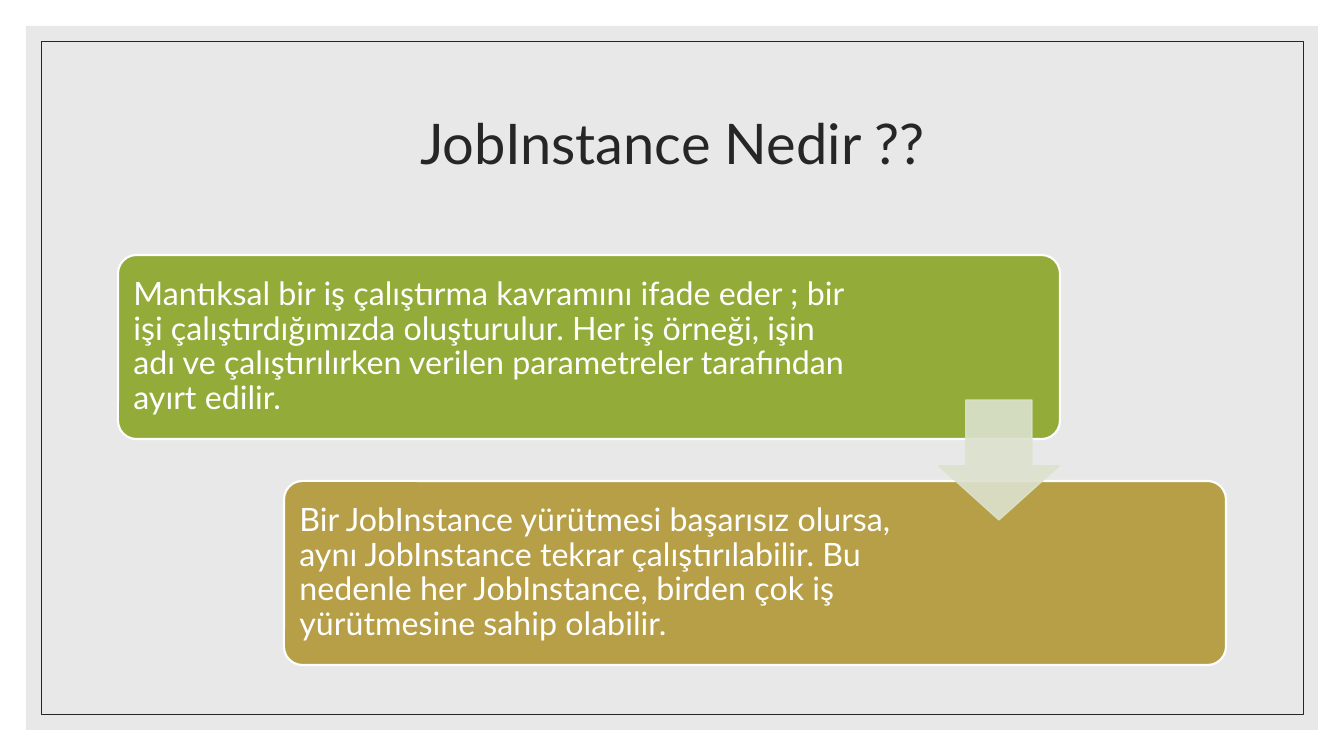
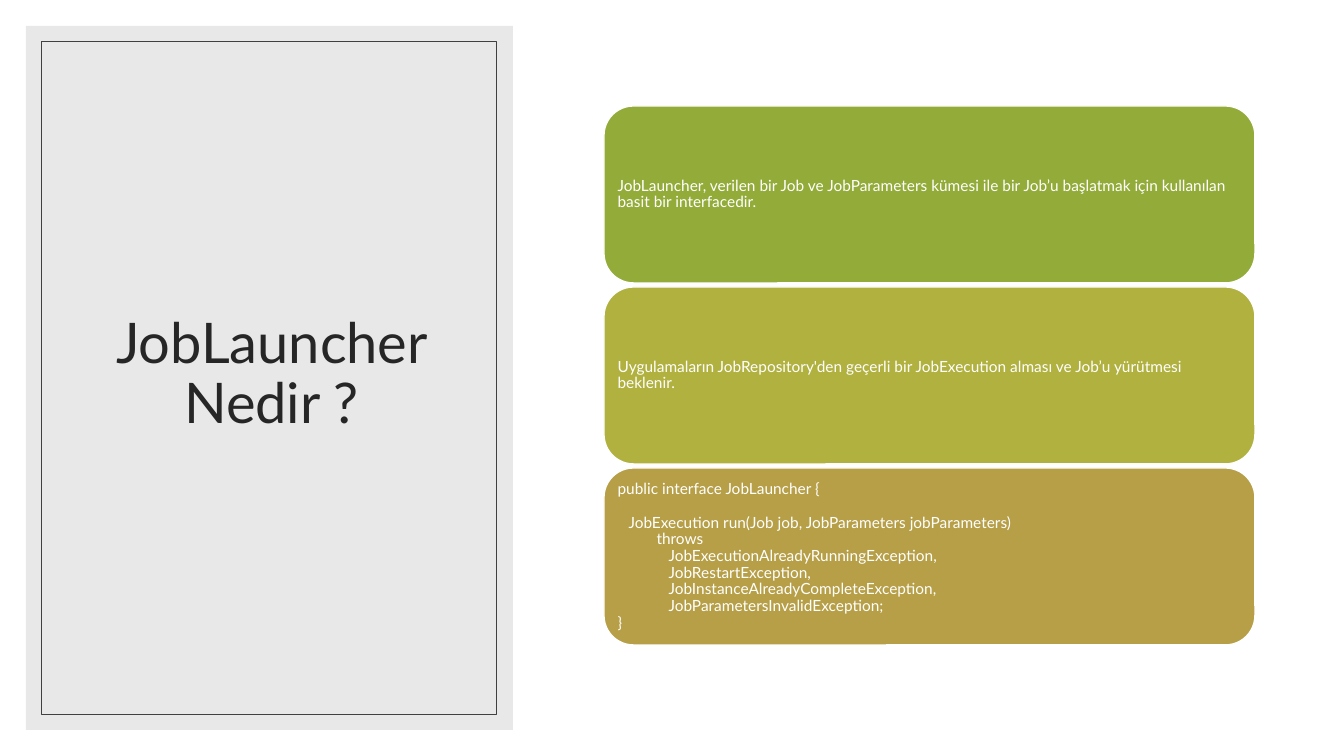
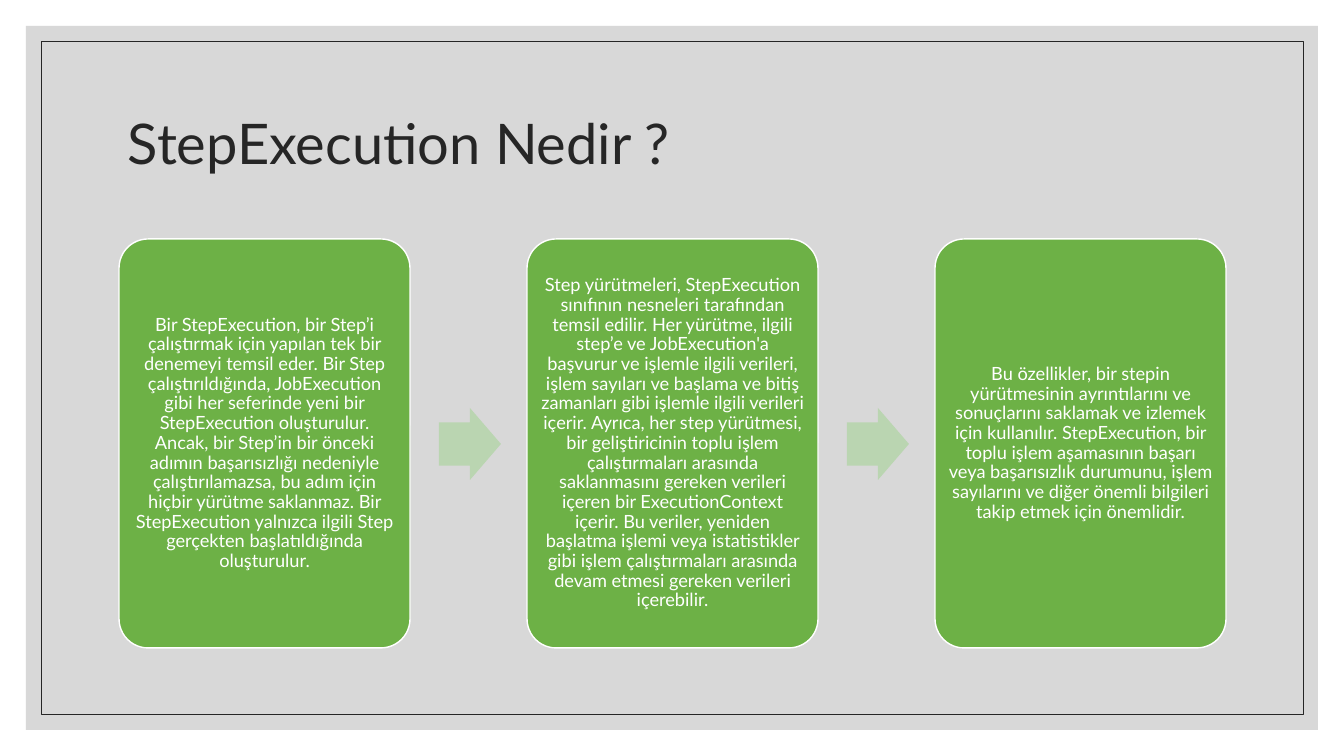
"""Build three slides on batch job concepts with cards and arrows."""
from lxml.etree import SubElement
from pptx import Presentation
from pptx.dml.color import RGBColor
from pptx.enum.shapes import MSO_SHAPE
from pptx.enum.text import MSO_ANCHOR, PP_ALIGN
from pptx.oxml.ns import qn
from pptx.util import Pt

SCALE = 914400 / 100.8


class Theme:
    font = "Lato"
    ink, rim, white = "262626", "404040", "FFFFFF"
    pale, gray = "D9D9D9", "BFBFBF"
    green, lime, gold, leaf = "93AB39", "B1B140", "B69F47", "6DB146"
    mist, mint = "DCE2CE", "BAD5B1"
    title, large, mid, small = 40, 23, 13, 11


def draw(slide, kind, box, fill=None, line=None, width=1, adj=(), alpha=100):
    shape = slide.shapes.add_shape(kind, *[round(n * SCALE) for n in box])
    shape.shadow.inherit = False
    if fill:
        shape.fill.solid()
        shape.fill.fore_color.rgb = RGBColor.from_string(fill)
    else:
        shape.fill.background()
    if line:
        shape.line.color.rgb = RGBColor.from_string(line)
        shape.line.width = Pt(width)
    else:
        shape.line.fill.background()
    for i, part in enumerate(adj):
        shape.adjustments[i] = part
    if alpha < 100:
        for tint in shape._element.spPr.iter(qn("a:srgbClr")):
            SubElement(tint, qn("a:alpha"), val=str(alpha * 1000))
    return shape


def write(shape, text, size, color, align, pads):
    frame = shape.text_frame
    frame.text = text
    frame.word_wrap = True
    frame.vertical_anchor = MSO_ANCHOR.MIDDLE
    sides = ("margin_left", "margin_top", "margin_right", "margin_bottom")
    for side, pad in zip(sides, pads):
        setattr(frame, side, round(pad * SCALE))
    for para in frame.paragraphs:
        para.alignment = align
        para.line_spacing = 0.9
        for run in para.runs:
            run.font.name = Theme.font
            run.font.size = Pt(size)
            run.font.color.rgb = RGBColor.from_string(color)
    return frame


deck = Presentation()
deck.slide_width = round(1344 * SCALE)
deck.slide_height = round(756 * SCALE)

wide = (118, 71, 1109, 151)
heads = [
    ("JobInstance Nedir ??", wide, PP_ALIGN.CENTER, 1292, 1262, Theme.pale, Theme.ink),
    ("JobLauncher Nedir ?", (64, 61, 415, 629), PP_ALIGN.CENTER, 487, 455, Theme.pale, Theme.rim),
    ("StepExecution Nedir ?", wide, PP_ALIGN.LEFT, 1292, 1262, Theme.gray, Theme.ink),
]
slides = []
for text, box, align, outer, inner, fill, line in heads:
    slide = deck.slides.add_slide(deck.slide_layouts[6])
    draw(slide, MSO_SHAPE.RECTANGLE, (26, 26, outer, 704), fill, alpha=60)
    draw(slide, MSO_SHAPE.RECTANGLE, (41, 41, inner, 673), line=line, width=0.5)
    title = slide.shapes.add_textbox(*[round(n * SCALE) for n in box])
    write(title, text, Theme.title, Theme.ink, align, (10, 5, 10, 5))
    slides.append(slide)
first, second, third = slides

stairs = [
    ("Mantıksal bir iş çalıştırma kavramını ifade eder ; bir işi çalıştırdığımızda oluşturulur. "
     "Her iş örneği, işin adı ve çalıştırılırken verilen parametreler tarafından ayırt edilir.",
     Theme.green, 191),
    ("Bir JobInstance yürütmesi başarısız olursa, aynı JobInstance tekrar çalıştırılabilir. "
     "Bu nedenle her JobInstance, birden çok iş yürütmesine sahip olabilir.",
     Theme.gold, 297),
]
for i, (text, fill, right) in enumerate(stairs):
    box = (118 + 166 * i, 255 + 226 * i, 942, 184)
    card = draw(first, MSO_SHAPE.ROUNDED_RECTANGLE, box, fill, Theme.white, 1.5, [0.1])
    write(card, text, Theme.large, Theme.white, PP_ALIGN.LEFT, (10, 10, right, 10))
draw(first, MSO_SHAPE.DOWN_ARROW, (939, 400, 120, 120), Theme.mist, Theme.mist,
     adj=(0.55, 0.45), alpha=90)

code = [
    ("public interface JobLauncher {", 0),
    ("JobExecution run(Job job, JobParameters jobParameters)", 11),
    ("throws", 39),
    ("JobExecutionAlreadyRunningException,", 51),
    ("JobRestartException,", 51),
    ("JobInstanceAlreadyCompleteException,", 51),
    ("JobParametersInvalidException;", 51),
    ("}", 0),
]
rows = [
    ("JobLauncher, verilen bir Job ve JobParameters kümesi ile bir Job’u başlatmak için "
     "kullanılan basit bir interfacedir.", Theme.green),
    ("Uygulamaların JobRepository'den geçerli bir JobExecution alması ve Job’u yürütmesi "
     "beklenir.", Theme.lime),
    ("\n".join(text for text, dent in code), Theme.gold),
]
for i, (text, fill) in enumerate(rows):
    box = (604, 106 + 181 * i, 651, 177)
    card = draw(second, MSO_SHAPE.ROUNDED_RECTANGLE, box, fill, Theme.white)
    body = write(card, text, Theme.small, Theme.white, PP_ALIGN.LEFT, (5, 5, 5, 5))
for para, (text, dent) in zip(body.paragraphs, code):
    para._p.get_or_add_pPr().set("marL", str(round(dent * SCALE)))
body.paragraphs[1].space_before = Pt(12)

steps = [
    "Bir StepExecution, bir Step’i çalıştırmak için yapılan tek bir denemeyi temsil eder. "
    "Bir Step çalıştırıldığında, JobExecution gibi her seferinde yeni bir StepExecution "
    "oluşturulur. Ancak, bir Step’in bir önceki adımın başarısızlığı nedeniyle "
    "çalıştırılamazsa, bu adım için hiçbir yürütme saklanmaz. Bir StepExecution yalnızca "
    "ilgili Step gerçekten başlatıldığında oluşturulur.",
    "Step yürütmeleri, StepExecution sınıfının nesneleri tarafından temsil edilir. Her "
    "yürütme, ilgili step’e ve JobExecution'a başvurur ve işlemle ilgili verileri, işlem "
    "sayıları ve başlama ve bitiş zamanları gibi işlemle ilgili verileri içerir. Ayrıca, her "
    "step yürütmesi, bir geliştiricinin toplu işlem çalıştırmaları arasında saklanmasını "
    "gereken verileri içeren bir ExecutionContext içerir. Bu veriler, yeniden başlatma işlemi "
    "veya istatistikler gibi işlem çalıştırmaları arasında devam etmesi gereken verileri "
    "içerebilir.",
    "Bu özellikler, bir stepin yürütmesinin ayrıntılarını ve sonuçlarını saklamak ve izlemek "
    "için kullanılır. StepExecution, bir toplu işlem aşamasının başarı veya başarısızlık "
    "durumunu, işlem sayılarını ve diğer önemli bilgileri takip etmek için önemlidir.",
]
for i, text in enumerate(steps):
    left = 119 + 408 * i
    card = draw(third, MSO_SHAPE.ROUNDED_RECTANGLE, (left, 239, 291, 409), Theme.leaf,
                Theme.white, adj=[0.1])
    write(card, text, Theme.mid, Theme.white, PP_ALIGN.CENTER, (5, 5, 5, 5))
    if i < len(steps) - 1:
        draw(third, MSO_SHAPE.RIGHT_ARROW, (left + 320, 408, 62, 72), Theme.mint, adj=(0.6, 0.5))

deck.save("out.pptx")
